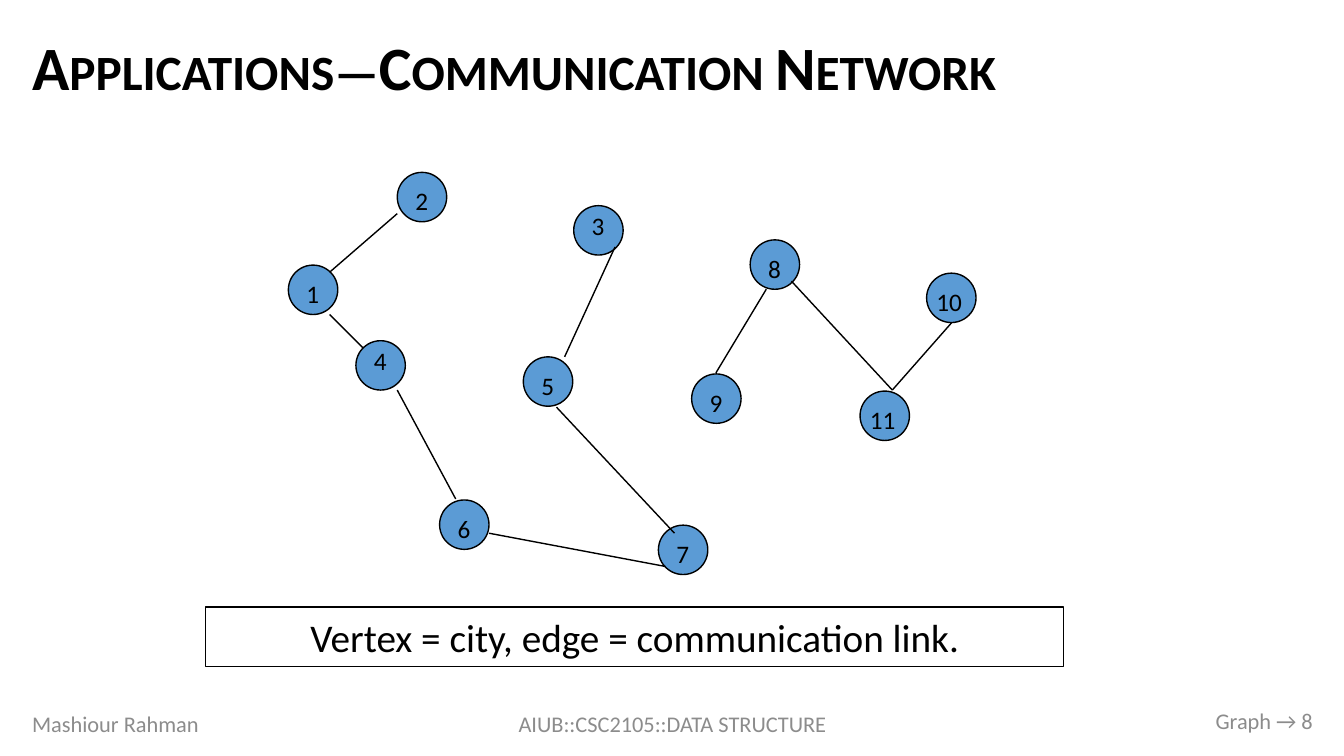
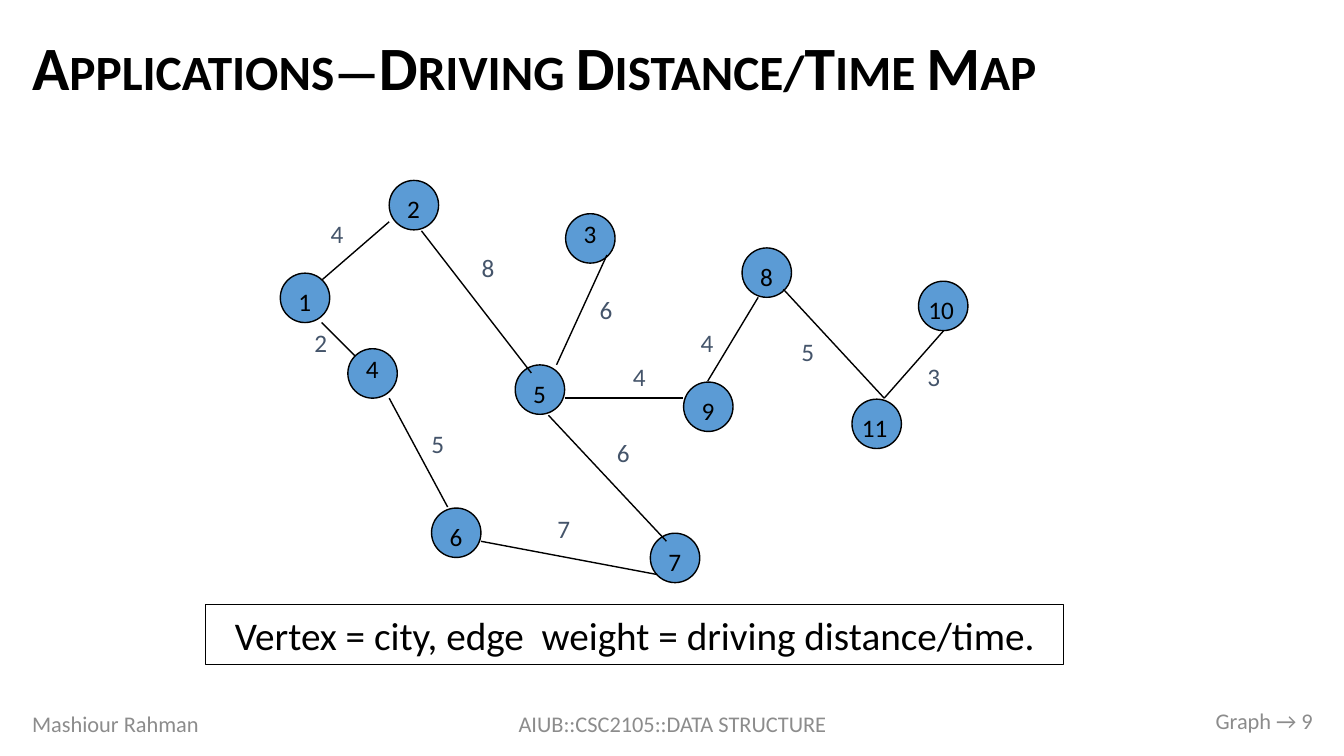
from dataclasses import dataclass

from lxml import etree
from pptx import Presentation
from pptx import util as u
from pptx.dml.color import RGBColor
from pptx.enum import shapes, text
from pptx.oxml.ns import qn

PX = 9144  # EMU per px, 100 px to the inch


@dataclass(frozen=True)
class Theme:
    font: str = "Calibri"
    ink: str = "000000"
    paper: str = "FFFFFF"
    node: str = "5B9BD5"
    weight: str = "44546A"
    foot: str = "8C8C8C"
    head_pt: int = 44
    note_pt: int = 28
    mark_pt: int = 18
    foot_pt: int = 16
    line_pt: int = 1


T = Theme()
LEFT, MID, RIGHT = text.PP_ALIGN.LEFT, text.PP_ALIGN.CENTER, text.PP_ALIGN.RIGHT
TOP, CENTRE = text.MSO_ANCHOR.TOP, text.MSO_ANCHOR.MIDDLE

SIZE = (1333, 750)
HEAD = (22, 24, 1290, 93)
FEET = [
    ("Mashiour Rahman", (22, 698, 300, 40), LEFT),
    ("AIUB::CSC2105::DATA STRUCTURE", (442, 698, 450, 40), MID),
    ("Graph → {page}", (1012, 695, 300, 40), RIGHT),
]

DISC = 49
MARK = (33, 43)
# number, left and top of the disc, offset of the number in it
NODES = [
    ("1", 286, 263, 8, 8),
    ("2", 394, 171, 8, 8),
    ("3", 569, 204, 8, 0),
    ("8", 744, 238, 8, 8),
    ("10", 919, 271, 0, 8),
    ("4", 353, 338, 8, 0),
    ("5", 519, 354, 8, 8),
    ("9", 686, 371, 8, 8),
    ("11", 853, 388, 0, 8),
    ("6", 436, 496, 8, 8),
    ("7", 653, 521, 8, 8),
]
# start, end, weight and its place
LINKS = [
    ((394, 212), (327, 270), "4", (326, 204)),
    ((327, 312), (360, 345), "2", (310, 312)),
    ((394, 387), (452, 495), "5", (426, 412)),
    ((485, 529), (660, 562), "7", (551, 496)),
    ((610, 245), (560, 354), "6", (593, 279)),
    ((552, 404), (669, 529), "6", (610, 421)),
    ((760, 287), (710, 370), "4", (693, 312)),
    ((785, 279), (885, 387), "5", (793, 321)),
    ((885, 387), (944, 320), "3", (918, 346)),
]
ROADS = [
    ((426, 221), (535, 362), "8", (476, 237)),
    ((568, 387), (685, 387), "4", (626, 346)),
]
SLIDES = [
    dict(page=8, head="Applications—Communication Network",
         note="Vertex = city, edge = communication link.",
         top=602, shift=(0, 0), links=LINKS, weighted=False),
    dict(page=9, head="Applications—Driving Distance/Time Map",
         note="Vertex = city, edge  weight = driving distance/time.",
         top=600, shift=(-8, 8), links=LINKS + ROADS, weighted=True),
]


def emu(*nums):
    return [u.Emu(n * PX) for n in nums]


def rgb(code):
    return RGBColor.from_string(code)


def write(shape, words, size, color, align=LEFT, anchor=CENTRE):
    """Put one run of text into a shape and return its paragraph and run."""
    frame = shape.text_frame
    frame.word_wrap = True
    frame.vertical_anchor = anchor
    para = frame.paragraphs[0]
    para.alignment = align
    run = para.add_run()
    run.text = words
    run.font.name = T.font
    run.font.size = u.Pt(size)
    run.font.color.rgb = rgb(color)
    return para, run


def label(host, box, *args, **opts):
    return write(host.add_textbox(*emu(*box)), *args, **opts)


def solid(host, kind, box, fill):
    """Add a filled shape with a thin dark outline."""
    shape = host.add_shape(kind, *emu(*box))
    shape.shadow.inherit = False
    shape.fill.solid()
    shape.fill.fore_color.rgb = rgb(fill)
    shape.line.color.rgb = rgb(T.ink)
    shape.line.width = u.Pt(T.line_pt)
    return shape


def edge(host, start, end):
    line = host.add_connector(shapes.MSO_CONNECTOR.STRAIGHT, *emu(*start, *end))
    line.line.color.rgb = rgb(T.ink)
    line.line.width = u.Pt(T.line_pt)
    props = line._element.find(qn("p:spPr"))
    etree.SubElement(props, qn("a:effectLst"))


def graph(host, links, shift, weighted):
    dx, dy = shift

    def move(x, y):
        return x + dx, y + dy

    for _, x, y, _, _ in NODES:
        solid(host, shapes.MSO_SHAPE.OVAL, (*move(x, y), DISC, DISC), T.node)
    for start, end, weight, spot in links:
        edge(host, move(*start), move(*end))
        if weighted:
            label(host, (*move(*spot), *MARK), weight,
                  T.mark_pt, T.weight, anchor=TOP)
    for name, x, y, right, down in NODES:
        box = (*move(x + right, y + down), 25 * len(name), MARK[1])
        label(host, box, name, T.mark_pt, T.ink, anchor=TOP)


def frame(slide, head, page):
    """Add the title and the footers that all slides share."""
    para, run = label(slide.shapes, HEAD, head, T.head_pt, T.ink)
    para.line_spacing = 0.9
    run.font.bold = True
    run.font._element.set("cap", "small")
    for words, box, align in FEET:
        label(slide.shapes, box, words.format(page=page),
              T.foot_pt, T.foot, align=align)


def main():
    deck = Presentation()
    deck.slide_width, deck.slide_height = emu(*SIZE)
    for data in SLIDES:
        slide = deck.slides.add_slide(deck.slide_layouts[6])
        frame(slide, data["head"], data["page"])
        group = slide.shapes.add_group_shape()
        graph(group.shapes, data["links"], data["shift"], data["weighted"])
        note = solid(slide.shapes, shapes.MSO_SHAPE.RECTANGLE,
                     (204, data["top"], 851, 59), T.paper)
        write(note, data["note"], T.note_pt, T.ink, align=MID)
    deck.save("out.pptx")


if __name__ == "__main__":
    main()
